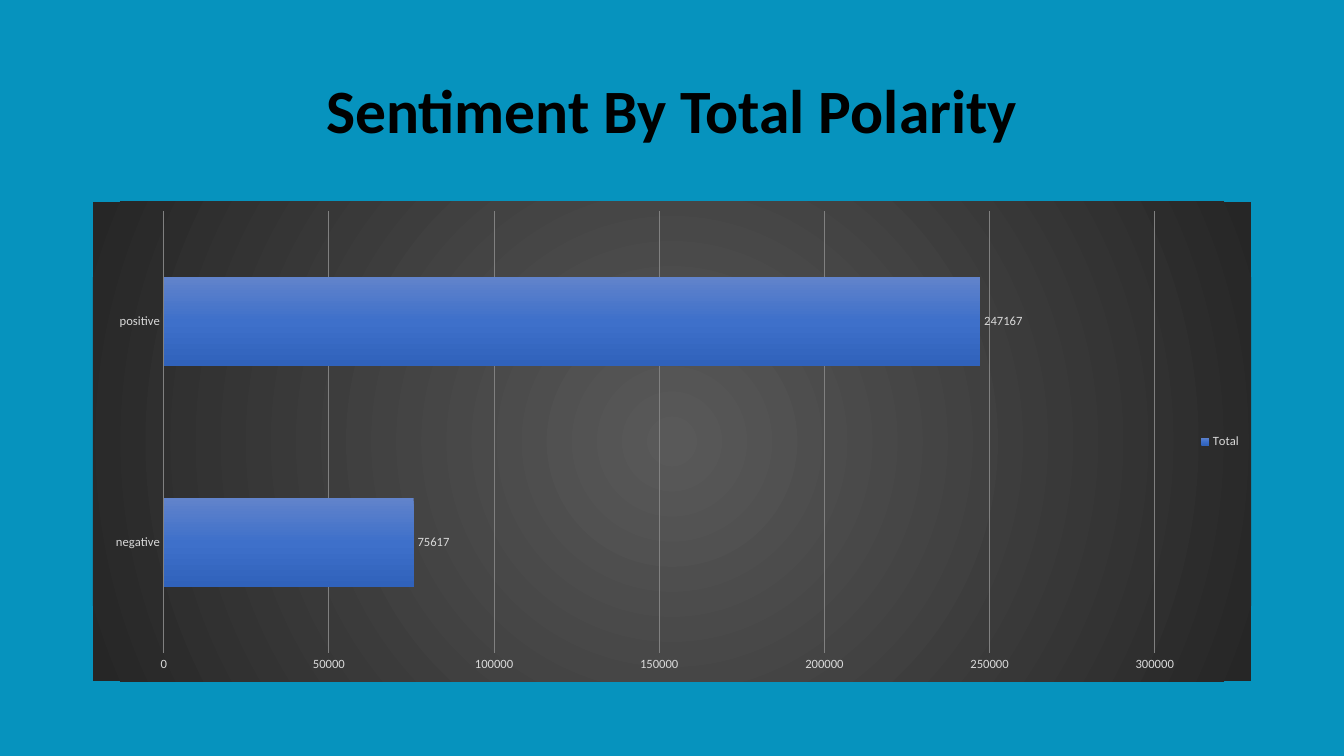
from dataclasses import dataclass

from lxml import etree
from pptx import Presentation
from pptx import util as u
from pptx.chart.data import CategoryChartData
from pptx.dml.color import RGBColor
from pptx.enum import chart as ch
from pptx.enum import text
from pptx.oxml import parse_xml
from pptx.oxml.ns import nsdecls, qn

SLIDE_WIDTH, SLIDE_HEIGHT = u.Inches(13.33), u.Inches(7.5)
FONT = "Calibri"
BACKGROUND, TITLE_COLOR, LABEL_COLOR, GRID_COLOR = "0693BE", "000000", "D9D9D9", "808080"
POLARITY = {"negative": 75617, "positive": 247167}


@dataclass(frozen=True)
class Area:
    """A rectangle given as shares of the slide's width and height."""
    left: float
    top: float
    width: float
    height: float

    def box(self) -> dict[str, int]:
        return {
            "left": round(self.left * SLIDE_WIDTH),
            "top": round(self.top * SLIDE_HEIGHT),
            "width": round(self.width * SLIDE_WIDTH),
            "height": round(self.height * SLIDE_HEIGHT),
        }


@dataclass(frozen=True)
class Gradient:
    """Colour stops by percent, with the XML that sets their direction."""
    stops: dict[int, str]
    direction: str


MARGIN = 0.92 / 13.33
TITLE_AREA = Area(MARGIN, 0.4 / 7.5, 1 - 2 * MARGIN, 1.45 / 7.5)
CHART_AREA = Area(MARGIN, 2 / 7.5, 1 - 2 * MARGIN, 4.76 / 7.5)
PANEL = Gradient(
    {0: "595959", 100: "262626"},
    '<a:path path="circle"><a:fillToRect l="50000" t="50000" r="50000" b="50000"/></a:path>',
)
BARS = Gradient(
    {0: "6183CB", 50: "3E70CA", 100: "3062BB"},
    '<a:lin ang="5400000" scaled="0"/>',
)


def rgb(color: str) -> RGBColor:
    return RGBColor.from_string(color)


def apply(target, values: dict) -> None:
    for name, value in values.items():
        setattr(target, name, value)


def style_font(font, size: float, color: str, bold: bool = False) -> None:
    apply(font, {"name": FONT, "size": u.Pt(size), "bold": bold})
    font.color.rgb = rgb(color)


def add_gradient(properties: etree.ElementBase, gradient: Gradient) -> None:
    stops = "".join(
        f'<a:gs pos="{percent * 1000}"><a:srgbClr val="{color}"/></a:gs>'
        for percent, color in gradient.stops.items()
    )
    properties.append(parse_xml(
        f'<a:gradFill {nsdecls("a")} rotWithShape="1">'
        f"<a:gsLst>{stops}</a:gsLst>{gradient.direction}</a:gradFill>"
    ))


def add_title(slide) -> None:
    title = slide.shapes.title
    apply(title, TITLE_AREA.box())
    frame = title.text_frame
    frame.text = "Sentiment By Total Polarity"
    apply(frame, {"vertical_anchor": text.MSO_ANCHOR.MIDDLE, "word_wrap": True})
    heading = frame.paragraphs[0]
    apply(heading, {"alignment": text.PP_ALIGN.CENTER, "line_spacing": 0.9})
    style_font(heading.runs[0].font, 44, TITLE_COLOR, bold=True)


def style_axis(axis) -> None:
    apply(axis, {
        "major_tick_mark": ch.XL_TICK_MARK.NONE,
        "minor_tick_mark": ch.XL_TICK_MARK.NONE,
    })
    axis.format.line.fill.background()
    style_font(axis.tick_labels.font, 9, LABEL_COLOR)


def fill_panel(chart) -> None:
    panel = parse_xml(f'<c:spPr {nsdecls("c", "a")}/>')
    add_gradient(panel, PANEL)
    panel.append(parse_xml(f'<a:ln {nsdecls("a")}><a:noFill/></a:ln>'))
    chart.element.find(qn("c:chart")).addnext(panel)


def add_polarity_chart(slide) -> None:
    data = CategoryChartData(number_format="General")
    data.categories = list(POLARITY)
    data.add_series("Total", list(POLARITY.values()))
    chart = slide.shapes.add_chart(
        ch.XL_CHART_TYPE.BAR_CLUSTERED, *CHART_AREA.box().values(), data
    ).chart
    apply(chart, {"has_title": False, "has_legend": True})
    style_font(chart.font, 10, TITLE_COLOR)
    fill_panel(chart)

    apply(chart.legend, {"position": ch.XL_LEGEND_POSITION.RIGHT, "include_in_layout": False})
    style_font(chart.legend.font, 9, LABEL_COLOR)

    for axis in (chart.category_axis, chart.value_axis):
        style_axis(axis)
    apply(chart.value_axis, {
        "minimum_scale": 0, "maximum_scale": 300000, "major_unit": 50000,
        "has_major_gridlines": True,
    })
    gridline = chart.value_axis.major_gridlines.format.line
    gridline.width = u.Pt(0.75)
    gridline.color.rgb = rgb(GRID_COLOR)

    plot = chart.plots[0]
    apply(plot, {"gap_width": 150, "vary_by_categories": False})
    total = plot.series[0]
    total.invert_if_negative = False
    add_gradient(total.format.element.get_or_add_spPr() if hasattr(total.format, "element")
                 else total._element.get_or_add_spPr(), BARS)
    labels = total.data_labels
    apply(labels, {"show_value": True, "position": ch.XL_LABEL_POSITION.OUTSIDE_END})
    style_font(labels.font, 9, LABEL_COLOR)


def main() -> None:
    deck = Presentation()
    apply(deck, {"slide_width": SLIDE_WIDTH, "slide_height": SLIDE_HEIGHT})
    slide = deck.slides.add_slide(deck.slide_layouts[5])
    slide.background.fill.solid()
    slide.background.fill.fore_color.rgb = rgb(BACKGROUND)
    add_title(slide)
    add_polarity_chart(slide)
    deck.save("out.pptx")


if __name__ == "__main__":
    main()
